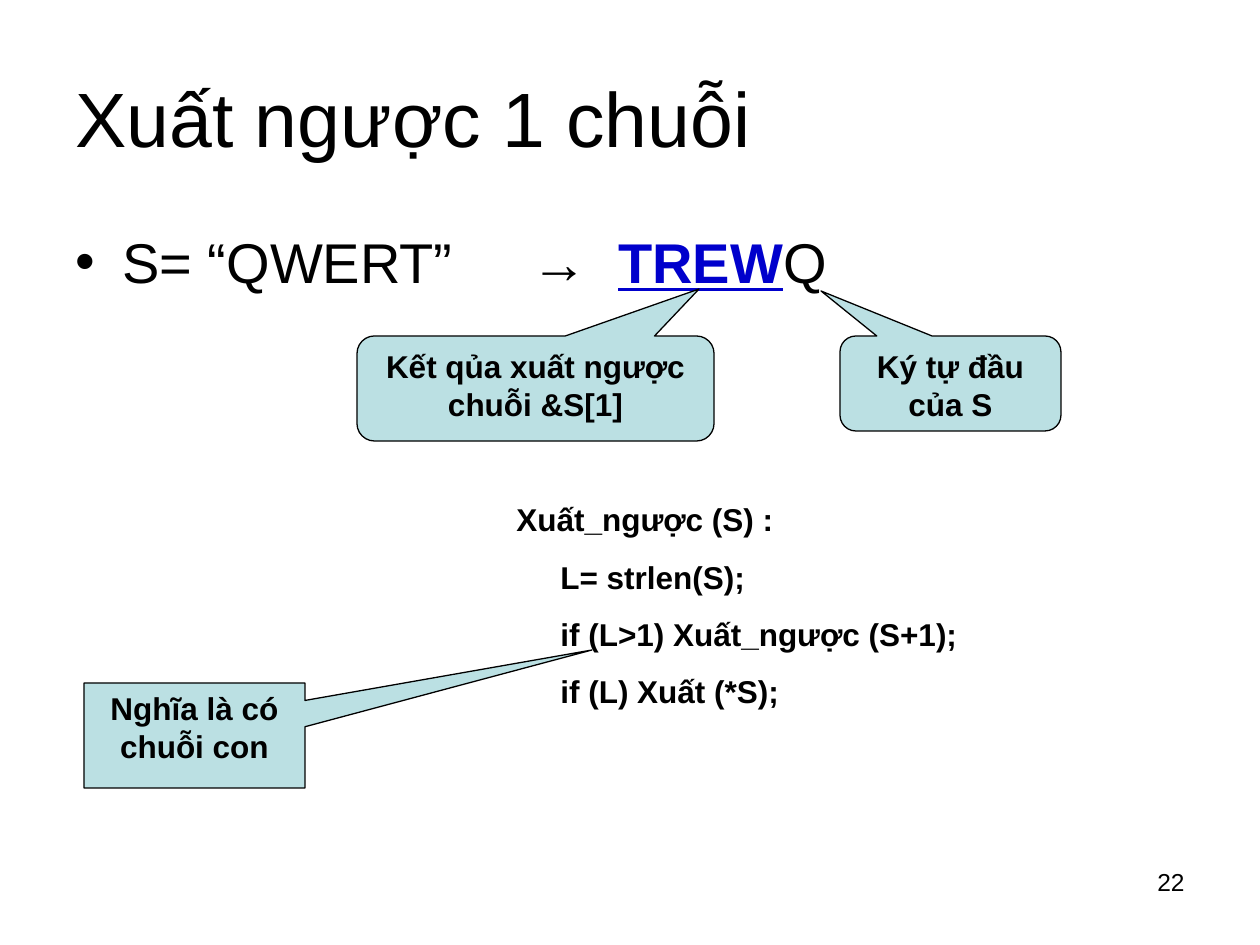
from lxml import etree
from pptx import Presentation
from pptx.dml.color import RGBColor
from pptx.enum.shapes import MSO_SHAPE
from pptx.enum.text import MSO_ANCHOR, PP_ALIGN
from pptx.oxml.ns import qn
from pptx.util import Emu, Pt

ROUND_CALLOUT = MSO_SHAPE.ROUNDED_RECTANGULAR_CALLOUT
RECT_CALLOUT = MSO_SHAPE.RECTANGULAR_CALLOUT
LEFT, CENTER, RIGHT = PP_ALIGN.LEFT, PP_ALIGN.CENTER, PP_ALIGN.RIGHT
TOP, MIDDLE = MSO_ANCHOR.TOP, MSO_ANCHOR.MIDDLE

FONT = "Arial"
BLACK, BLUE, PALE_TEAL = "000000", "0000CC", "BBE0E3"
EMU_PER_PX = 914400 / 126
CODE_INDENT = 44


def px(length):
    return Emu(round(length * EMU_PER_PX))


def color(hex_value):
    return RGBColor.from_string(hex_value)


def add_run(paragraph, text, size, hex_value=BLACK, bold=False, underline=False):
    run = paragraph.add_run()
    run.text = text
    font = run.font
    font.name, font.size = FONT, Pt(size)
    font.bold, font.underline = bold, underline
    font.color.rgb = color(hex_value)


def add_text_frame(slide, left, top, width, height, anchor=TOP):
    box = slide.shapes.add_textbox(px(left), px(top), px(width), px(height))
    frame = box.text_frame
    frame.word_wrap = True
    frame.vertical_anchor = anchor
    return frame


def add_label(slide, text, size, bounds, align=LEFT, anchor=TOP):
    paragraph = add_text_frame(slide, *bounds, anchor).paragraphs[0]
    paragraph.alignment = align
    add_run(paragraph, text, size)


def set_bullet(paragraph, indent, tab_stops):
    """Give a hanging bullet and left tab stops, measured in px."""
    properties = paragraph._p.get_or_add_pPr()
    properties.set("marL", str(px(indent)))
    properties.set("indent", str(-px(indent)))
    etree.SubElement(properties, qn("a:buFont"), typeface=FONT)
    etree.SubElement(properties, qn("a:buChar"), char="•")
    tabs = etree.SubElement(properties, qn("a:tabLst"))
    for stop in tab_stops:
        etree.SubElement(tabs, qn("a:tab"), pos=str(px(stop)), algn="l")


def add_example(slide):
    paragraph = add_text_frame(slide, 63, 221, 1134, 84).paragraphs[0]
    paragraph.space_before = Pt(8)
    set_bullet(paragraph, 47, [456, 543])
    add_run(paragraph, "S= “QWERT”\t→\t", 32)
    add_run(paragraph, "TREW", 32, BLUE, bold=True, underline=True)
    add_run(paragraph, "Q", 32)


def add_callout(slide, kind, text, bounds, tip):
    """Add a callout whose pointer ends at tip, an (x, y) on the slide."""
    left, top, width, height = bounds
    shape = slide.shapes.add_shape(kind, *map(px, bounds))
    shape.shadow.inherit = False
    shape.adjustments[0] = (tip[0] - left) / width - 0.5
    shape.adjustments[1] = (tip[1] - top) / height - 0.5
    shape.fill.solid()
    shape.fill.fore_color.rgb = color(PALE_TEAL)
    shape.line.color.rgb = color(BLACK)
    shape.line.width = Pt(0.75)
    frame = shape.text_frame
    frame.word_wrap = True
    frame.vertical_anchor = TOP
    paragraph = frame.paragraphs[0]
    paragraph.alignment = CENTER
    add_run(paragraph, text, 18, bold=True)


def add_code(slide, lines):
    frame = add_text_frame(slide, 504, 494, 525, 281)
    for index, (text, level) in enumerate(lines):
        paragraph = frame.add_paragraph() if index else frame.paragraphs[0]
        paragraph.space_before = Pt(11.2)
        paragraph._p.get_or_add_pPr().set("marL", str(px(level * CODE_INDENT)))
        add_run(paragraph, text, 18, bold=True)


def main():
    presentation = Presentation()
    presentation.slide_width, presentation.slide_height = px(1260), px(945)
    slide = presentation.slides.add_slide(presentation.slide_layouts[6])

    add_label(slide, "Xuất ngược 1 chuỗi", 44, (63, 38, 1134, 158), anchor=MIDDLE)
    add_example(slide)
    add_callout(slide, ROUND_CALLOUT, "Ký tự đầu của S",
                (840, 336, 221, 95), (821, 291))
    add_callout(slide, ROUND_CALLOUT, "Kết qủa xuất ngược chuỗi &S[1]",
                (357, 336, 357, 105), (699, 289))
    add_code(slide, [
        ("Xuất_ngược (S) :", 0),
        ("L= strlen(S);", 1),
        ("if (L>1) Xuất_ngược (S+1);", 1),
        ("if (L) Xuất (*S);", 1),
    ])
    add_callout(slide, RECT_CALLOUT, "Nghĩa là có chuỗi con",
                (84, 683, 221, 105), (592, 650))
    add_label(slide, "22", 14, (903, 861, 294, 66), align=RIGHT)

    presentation.save("out.pptx")


if __name__ == "__main__":
    main()
